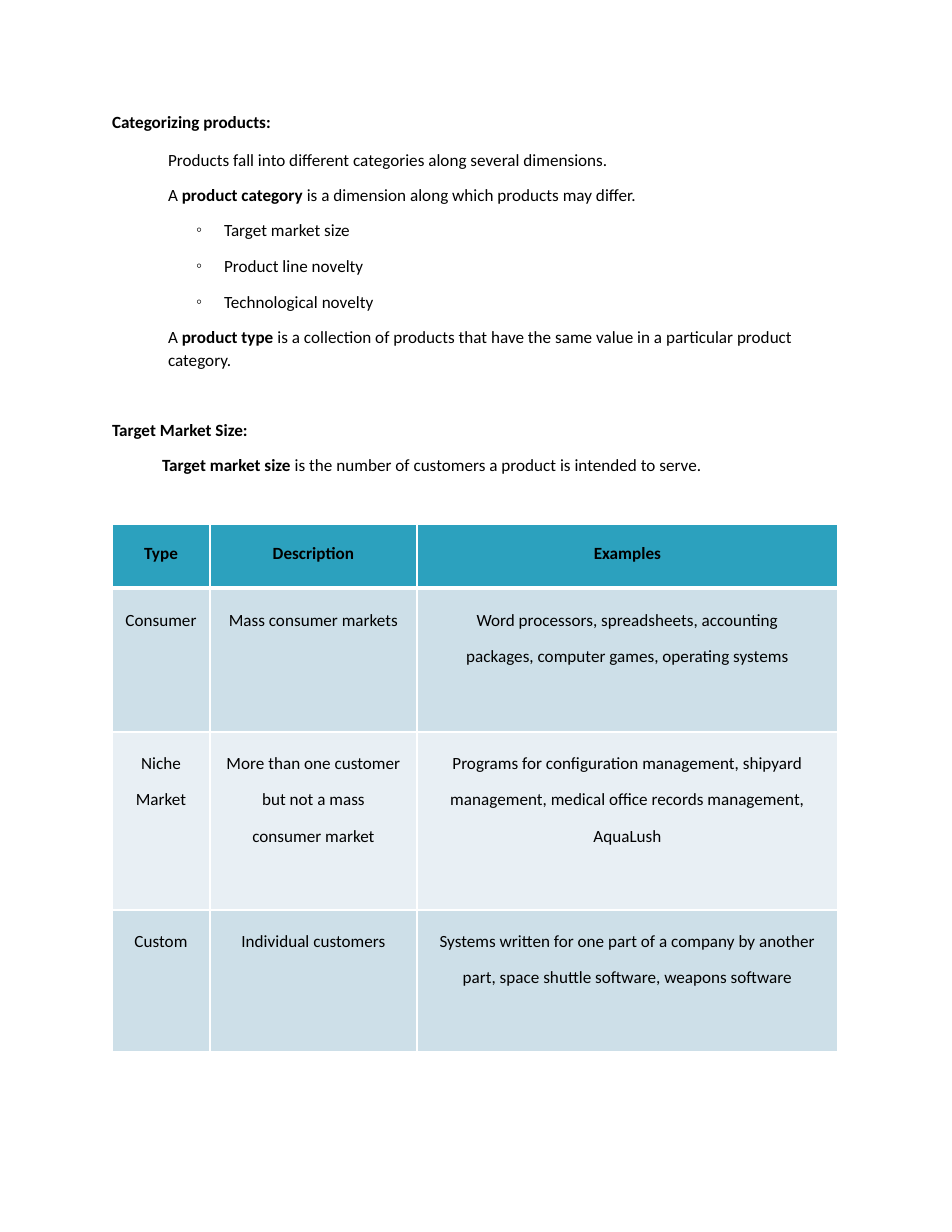
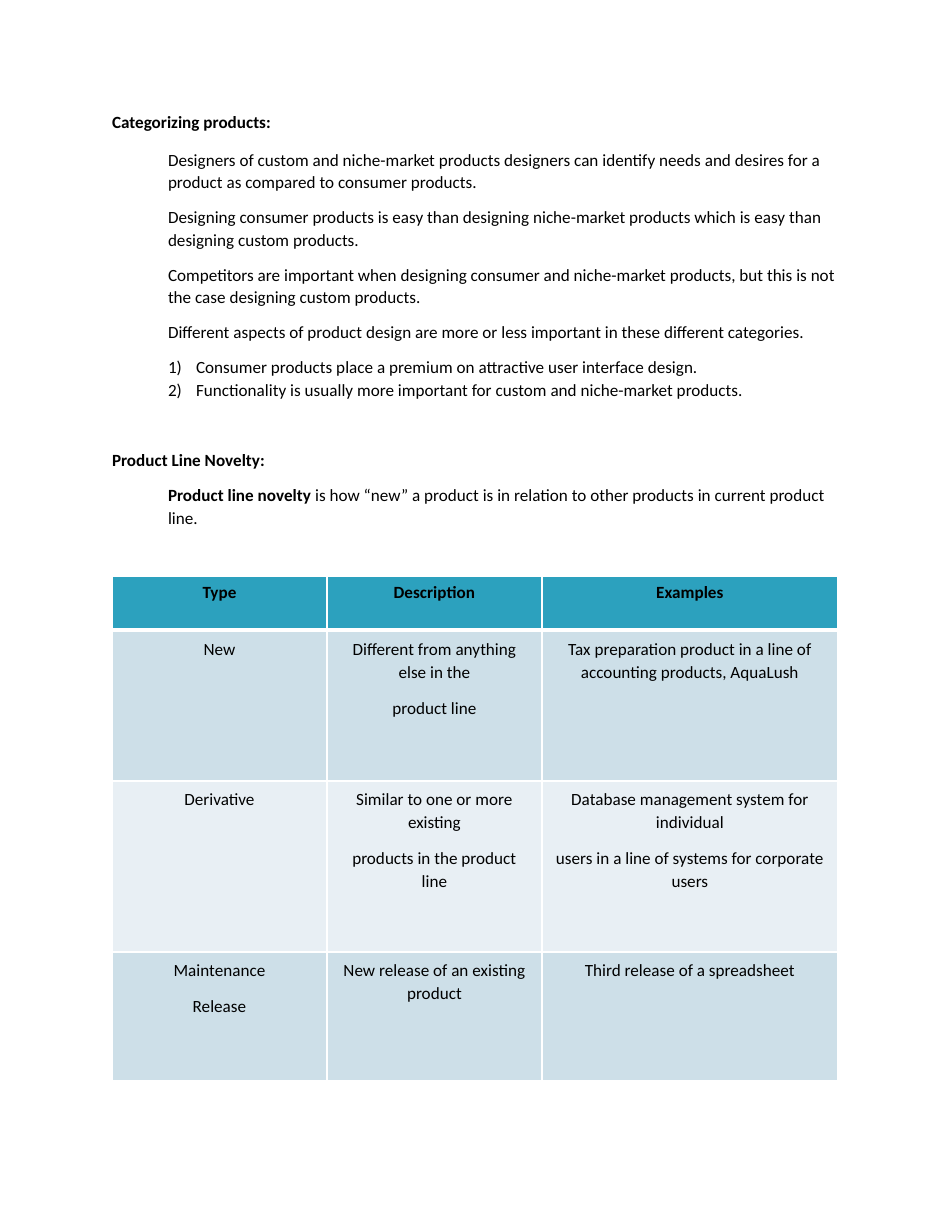
from dataclasses import dataclass, replace

from lxml import etree
from pptx import Presentation
from pptx import util as u
from pptx.dml.color import RGBColor
from pptx.enum import text as t
from pptx.oxml import ns

SCALE = 914400 / 112  # EMU in one px


def px(n: int) -> u.Emu:
    return u.Emu(round(n * SCALE))


@dataclass(frozen=True)
class Theme:
    font: str = "Calibri"
    size: float = 11
    ink: str = "000000"
    rule: str = "FFFFFF"
    head: str = "2CA1BE"
    bands: tuple[str, str] = ("CDDFE8", "E8EFF4")
    thin: float = 1
    thick: float = 3
    pitch: float = 1.1


@dataclass(frozen=True)
class Style:
    left: int
    hang: int = 0
    gap: float = 8
    level: int = 0
    tag: str = "buNone"
    attr: tuple[str, str] | None = None


@dataclass(frozen=True)
class Para:
    style: Style
    text: str  # parts between asterisks are bold


@dataclass(frozen=True)
class Grid:
    top: int
    cols: tuple[int, ...]
    rows: tuple[int, ...]
    pitch: float
    gap: float
    cells: tuple[tuple[str, ...], ...]


@dataclass(frozen=True)
class Page:
    title: str
    width: int
    depth: int
    paras: tuple[Para, ...]
    grid: Grid


LOOK = Theme()
LEFT, WIDE = 112, 726
INSETS = (4, 7, 6, 6)  # top inset of each table row
LABELS = ("Type", "Description", "Examples")

HEAD = Style(0, gap=30.5)
ITEM = Style(56)
LEAD = Style(50)
DOT = Style(112, 28, 8.5, 1, "buChar", ("char", "◦"))
NUM = Style(84, 28, 0, 1, "buAutoNum", ("type", "arabicParenR"))
FIRST = replace(NUM, gap=8)

PAGES = (
    Page(
        "Categorizing products:", 684, 330,
        (
            Para(ITEM, "Products fall into different categories along several dimensions."),
            Para(ITEM, "A *product category* is a dimension along which products may differ."),
            Para(DOT, "Target market size"),
            Para(DOT, "Product line novelty"),
            Para(DOT, "Technological novelty"),
            Para(ITEM, "A *product type* is a collection of products that have the same "
                       "value in a particular product category."),
            Para(HEAD, "*Target Market Size:*"),
            Para(LEAD, "*Target market size* is the number of customers a product is "
                       "intended to serve."),
        ),
        Grid(524, (98, 207, 421), (64, 144, 178, 142), 1.72, 0, (
            LABELS,
            ("Consumer", "Mass consumer markets",
             "Word processors, spreadsheets, accounting\n"
             "packages, computer games, operating systems"),
            ("Niche\nMarket", "More than one customer\nbut not a mass\vconsumer market",
             "Programs for configuration management, shipyard\n"
             "management, medical office records management,\vAquaLush"),
            ("Custom", "Individual customers",
             "Systems written for one part of a company by another\n"
             "part, space shuttle software, weapons software"),
        )),
    ),
    Page(
        "Categorizing products:", WIDE, 380,
        (
            Para(ITEM, "Designers of custom and niche-market products designers can "
                       "identify needs and desires for a product as compared to "
                       "consumer products."),
            Para(ITEM, "Designing consumer products is easy than designing niche-market "
                       "products which is easy than designing custom products."),
            Para(ITEM, "Competitors are important when designing consumer and niche-market "
                       "products, but this is not the case designing custom products."),
            Para(ITEM, "Different aspects of product design are more or less important in "
                       "these different categories."),
            Para(FIRST, "Consumer products place a premium on attractive user interface design."),
            Para(NUM, "Functionality is usually more important for custom and "
                      "niche-market products."),
            Para(HEAD, "*Product Line Novelty:*"),
            Para(ITEM, "*Product line novelty* is how “new” a product is in relation to "
                       "other products in current product line."),
        ),
        Grid(576, (215, 215, 296), (54, 151, 171, 129), LOOK.pitch, 8, (
            LABELS,
            ("New", "Different from anything\velse in the\nproduct line",
             "Tax preparation product in a line of\vaccounting products, AquaLush"),
            ("Derivative",
             "Similar to one or more\vexisting\nproducts in the product\vline",
             "Database management system for\vindividual\n"
             "users in a line of systems for corporate\vusers"),
            ("Maintenance\nRelease", "New release of an existing\vproduct",
             "Third release of a spreadsheet"),
        )),
    ),
)


def ink(run, bold: bool) -> None:
    font = run.font
    font.name, font.size, font.bold = LOOK.font, u.Pt(LOOK.size), bold
    font.color.rgb = RGBColor.from_string(LOOK.ink)


def place(shape, top: int, width: int, height: int):
    """Move a placeholder and clear its insets; return its text frame."""
    shape.left, shape.top = px(LEFT), px(top)
    shape.width, shape.height = px(width), px(height)
    frame = shape.text_frame
    frame.margin_left = frame.margin_right = frame.margin_top = frame.margin_bottom = 0
    frame.vertical_anchor = t.MSO_ANCHOR.TOP
    frame.auto_size = t.MSO_AUTO_SIZE.NONE
    frame.word_wrap = True
    return frame


def shape_para(para, style: Style, first: bool) -> None:
    """Apply level, indents, spacing and bullet to a paragraph."""
    para.level = style.level
    para.alignment = t.PP_ALIGN.LEFT
    para.line_spacing = LOOK.pitch
    para.space_before = u.Pt(0 if first else style.gap)
    para.space_after = u.Pt(0)
    props = para._p.get_or_add_pPr()
    props.set("marL", str(px(style.left)))
    props.set("indent", str(px(-style.hang)))
    mark = etree.SubElement(props, ns.qn(f"a:{style.tag}"))
    if style.attr:
        mark.set(*style.attr)


def add_title(slide, words: str) -> None:
    frame = place(slide.shapes.title, 111, WIDE, 21)
    frame.text = words
    para = frame.paragraphs[0]
    para.alignment = t.PP_ALIGN.LEFT
    para.line_spacing = 1.0
    ink(para.runs[0], True)


def add_body(slide, page: Page) -> None:
    frame = place(slide.placeholders[1], 147, page.width, page.depth)
    for i, item in enumerate(page.paras):
        para = frame.add_paragraph() if i else frame.paragraphs[0]
        shape_para(para, item.style, i == 0)
        for j, part in enumerate(item.text.split("*")):
            if part:
                run = para.add_run()
                run.text = part
                ink(run, j % 2 == 1)


def edge(cell, row: int) -> None:
    """Draw white cell borders, thick between the header and the rows."""
    props = cell._tc.get_or_add_tcPr()
    widths = {
        "lnL": LOOK.thin,
        "lnR": LOOK.thin,
        "lnT": LOOK.thick if row == 1 else LOOK.thin,
        "lnB": LOOK.thick if row == 0 else LOOK.thin,
    }
    for i, (tag, width) in enumerate(widths.items()):
        line = etree.Element(ns.qn(f"a:{tag}"), w=str(u.Pt(width)))
        fill = etree.SubElement(line, ns.qn("a:solidFill"))
        etree.SubElement(fill, ns.qn("a:srgbClr"), val=LOOK.rule)
        props.insert(i, line)


def fill_cell(cell, words: str, row: int, grid: Grid) -> None:
    cell.margin_left = cell.margin_right = cell.margin_bottom = 0
    cell.margin_top = px(INSETS[row])
    cell.vertical_anchor = t.MSO_ANCHOR.TOP
    cell.fill.solid()
    tint = LOOK.bands[(row - 1) % 2] if row else LOOK.head
    cell.fill.fore_color.rgb = RGBColor.from_string(tint)
    edge(cell, row)
    cell.text_frame.text = words
    for i, para in enumerate(cell.text_frame.paragraphs):
        para.alignment = t.PP_ALIGN.CENTER
        para.line_spacing = grid.pitch
        para.space_before = u.Pt(grid.gap if i else 0)
        for run in para.runs:
            ink(run, row == 0)


def add_grid(slide, grid: Grid) -> None:
    frame = slide.shapes.add_table(
        len(grid.rows), len(grid.cols),
        px(LEFT), px(grid.top), px(sum(grid.cols)), px(sum(grid.rows)),
    )
    table = frame.table
    table.horz_banding = False
    for col, width in zip(table.columns, grid.cols):
        col.width = px(width)
    for row, height in zip(table.rows, grid.rows):
        row.height = px(height)
    for r, line in enumerate(grid.cells):
        for c, words in enumerate(line):
            fill_cell(table.cell(r, c), words, r, grid)


def main() -> None:
    deck = Presentation()
    deck.slide_width, deck.slide_height = px(952), px(1232)
    for page in PAGES:
        slide = deck.slides.add_slide(deck.slide_layouts[1])
        add_title(slide, page.title)
        add_body(slide, page)
        add_grid(slide, page.grid)
    deck.save("out.pptx")


if __name__ == "__main__":
    main()
